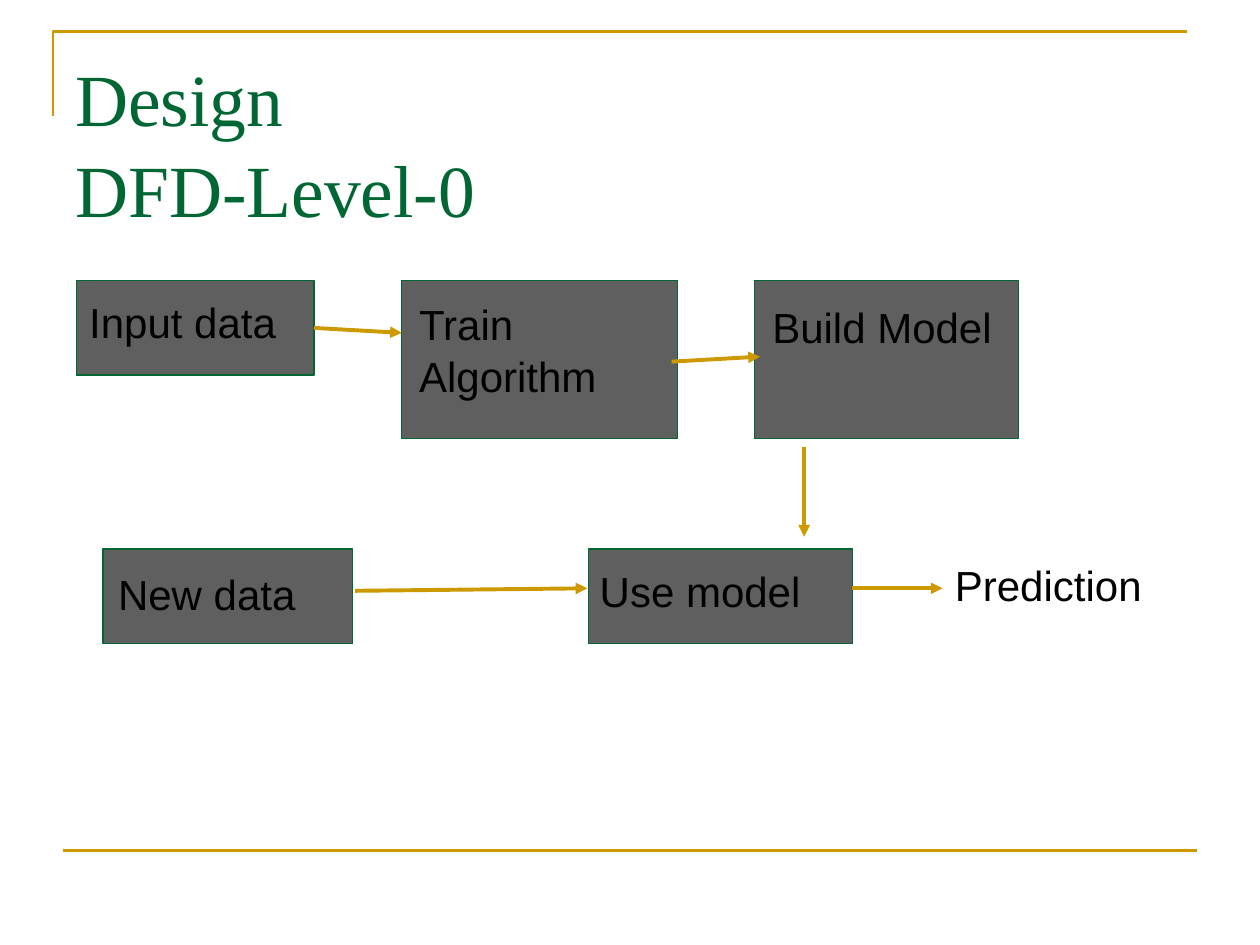
"""Build a slide with a level-0 data flow diagram."""
import pptx
import pptx.dml.color
import pptx.enum.shapes
import pptx.enum.text
import pptx.oxml
import pptx.oxml.ns
import pptx.util

COLORS = {"gold": "CC9900", "green": "006633", "gray": "5F5F5F", "black": "000000"}
TITLE = ["Design", "DFD-Level-0"]
TITLE_FORMAT = {"name": "Times New Roman", "size": pptx.util.Pt(42)}
LABEL_FORMAT = {"name": "Arial", "size": pptx.util.Pt(24)}

TOP_ROW, BOTTOM_ROW = 5.66, 11.07
LOW, HIGH = 1.9, 3.18
BOXES = {
    "input": (1.55, TOP_ROW, 4.78, LOW),
    "train": (8.1, TOP_ROW, 5.56, HIGH),
    "build": (15.21, TOP_ROW, 5.33, HIGH),
    "new": (2.08, BOTTOM_ROW, 5.03, LOW),
    "use": (11.86, BOTTOM_ROW, 5.33, LOW),
}
LABELS = [
    (["Input data"], (1.55, 5.64, 21.89, 3.18)),
    (["Train", "Algorithm"], (8.2, 5.69, 5.33, 3.18)),
    (["Build Model"], (15.32, 5.74, 5.33, 2.9)),
    (["New data"], (2.13, 11.13, 5.03, 1.6)),
    (["Use model"], (11.84, 11.07, 5.33, 1.6)),
    (["Prediction"], (19, 10.95, 4.78, 1.8)),
]
ARROWS = [
    ((7.16, 11.91, 11.84, 11.86), None),
    ((6.33, 6.61, 8.1, 6.71), "input"),
    ((16.21, 9.02, 16.21, 10.82), None),
    ((17.17, 11.86, 19, 11.86), None),
    ((13.54, 7.29, 15.32, 7.19), None),
]
CORNER = [(1.07, 2.34), (1.07, 0.64), (23.93, 0.64)]
FOOTER_RULE = (1.27, 17.15, 24.13, 17.15)


def lengths(values):
    return [pptx.util.Cm(value) for value in values]


def color(name):
    return pptx.dml.color.RGBColor.from_string(COLORS[name])


def set_line(shape, name, width):
    shape.line.color.rgb = color(name)
    shape.line.width = pptx.util.Pt(width)


def add_text(slide, lines, place, font_format, color_name, top_inset):
    frame = slide.shapes.add_textbox(*lengths(place)).text_frame
    frame_format = {
        "word_wrap": True,
        "vertical_anchor": pptx.enum.text.MSO_ANCHOR.TOP,
        "margin_left": pptx.util.Cm(0.25),
        "margin_right": pptx.util.Cm(0.25),
        "margin_top": pptx.util.Cm(top_inset),
    }
    for name, value in frame_format.items():
        setattr(frame, name, value)
    frame.text = "\n".join(lines)
    for paragraph in frame.paragraphs:
        paragraph.line_spacing = 1.04
        font = paragraph.runs[0].font
        for name, value in font_format.items():
            setattr(font, name, value)
        font.color.rgb = color(color_name)


def add_line(slide, ends, width, arrow=False):
    straight = pptx.enum.shapes.MSO_CONNECTOR.STRAIGHT
    line = slide.shapes.add_connector(straight, *lengths(ends))
    set_line(line, "gold", width)
    if arrow:
        head = pptx.oxml.parse_xml(
            f'<a:tailEnd {pptx.oxml.ns.nsdecls("a")} type="triangle"/>')
        line.line._get_or_add_ln().append(head)
    properties = line._element.spPr
    properties.append(pptx.oxml.parse_xml(f'<a:effectLst {pptx.oxml.ns.nsdecls("a")}/>'))
    return line


def add_box(slide, place):
    rectangle = pptx.enum.shapes.MSO_SHAPE.RECTANGLE
    box = slide.shapes.add_shape(rectangle, *lengths(place))
    box.shadow.inherit = False
    box.fill.solid()
    box.fill.fore_color.rgb = color("gray")
    set_line(box, "green", 0.75)
    return box


def add_corner(slide):
    start, *rest = [lengths(point) for point in CORNER]
    builder = slide.shapes.build_freeform(*start)
    builder.add_line_segments(rest, close=False)
    corner = builder.convert_to_shape()
    corner.shadow.inherit = False
    corner.fill.background()
    set_line(corner, "gold", 1.5)


def main():
    presentation = pptx.Presentation()
    presentation.slide_width, presentation.slide_height = lengths((25.4, 19.05))
    slide = presentation.slides.add_slide(presentation.slide_layouts[6])
    add_corner(slide)
    add_line(slide, FOOTER_RULE, 1.5)
    add_text(slide, TITLE, (1.27, 0.76, 22.86, 3.18), TITLE_FORMAT, "green", 0.23)
    boxes = {name: add_box(slide, place) for name, place in BOXES.items()}
    for lines, place in LABELS:
        add_text(slide, lines, place, LABEL_FORMAT, "black", 0.29)
    for ends, source in ARROWS:
        arrow = add_line(slide, ends, 2.25, arrow=True)
        if source:
            arrow.begin_connect(boxes[source], 3)
    presentation.save("out.pptx")


if __name__ == "__main__":
    main()
